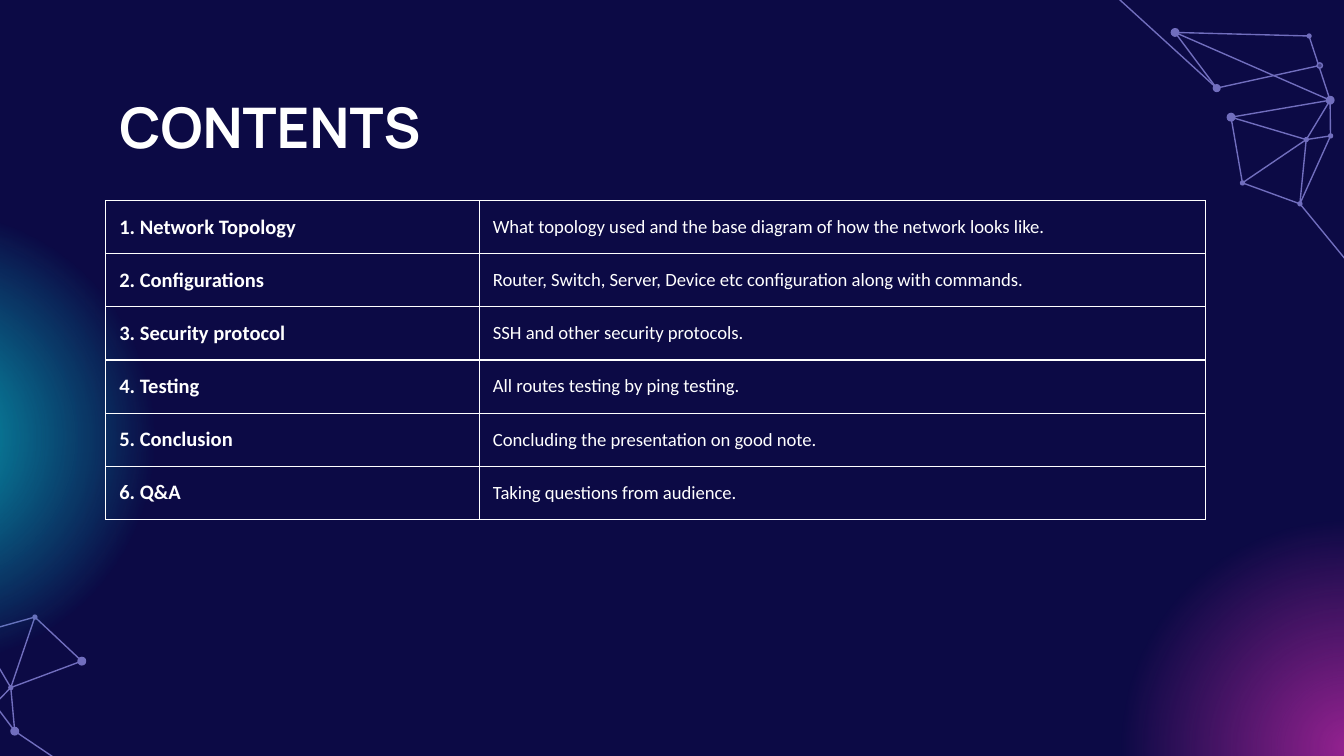
"""Build the contents slide: a bordered agenda table among glows and network lines."""
from dataclasses import dataclass

from lxml import etree
from pptx import Presentation
from pptx import util as u
from pptx.dml.color import RGBColor
from pptx.enum import shapes, text
from pptx.oxml import parse_xml
from pptx.oxml import ns

TITLE = "CONTENTS"
AGENDA = [
    ("Network Topology", "What topology used and the base diagram of how the network looks like."),
    ("Configurations", "Router, Switch, Server, Device etc configuration along with commands."),
    ("Security protocol", "SSH and other security protocols."),
    ("Testing", "All routes testing by ping testing."),
    ("Conclusion", "Concluding the presentation on good note."),
    ("Q&A", "Taking questions from audience."),
]


@dataclass(frozen=True)
class Theme:
    background: str = "0C0A45"
    network: str = "716EBE"
    core: str = "434186"
    white: str = "FFFFFF"
    teal: str = "07A0B3"
    purple: str = "942290"
    title_font: str = "Manrope"
    body_font: str = "Calibri"
    title_size: float = 30
    topic_size: float = 11
    detail_size: float = 10
    line_width: float = 0.75


THEME = Theme()
SLIDE_SIZE = (720, 405)
TITLE_BOX = (56.7, 42.5, 607, 45.4)
TABLE_LEFT, TABLE_TOP, ROW_HEIGHT = 56.7, 107.5, 28.46
COLUMN_WIDTHS = (200.2, 388.8)
MARGIN = 7.2
GLOW_SIZE = 344.2
GLOWS = [((-211, 61.9), THEME.teal), ((550.1, 228.2), THEME.purple)]

SMALL, MEDIUM, LARGE = 2.8, 3.6, 4.8
NODES = {
    "left": (629.5, 17.4), "bend": (651.8, 47.2), "edge": (707, 35.1),
    "peak": (701.3, 19.3), "right": (712.6, 53.7), "side": (712.8, 72.8),
    "hub": (699.8, 74.8), "foot": (696.4, 109.2), "corner": (665.6, 98),
    "west": (659.5, 62.8), "low end": (7.9, 391.7), "low out": (36.7, 411.1),
    "low side": (-2.9, 377.3), "low hub": (5.8, 368.4), "low west": (-11.5, 339.1),
    "low peak": (18.7, 330.6), "low east": (43.8, 354.2),
    "top exit": (597.6, -2.2), "right exit": (730.8, 151.2),
}
CHAINS = [
    ("left", "bend", "edge"),
    ("peak", "right", "side", "hub", "foot", "corner", "west", "hub", "corner"),
    ("low out", "low end", "low side", "low hub", "low west", "low peak",
     "low east", "low hub", "low peak"),
]
LINKS = [
    ("bend", "top exit"), ("right", "hub"), ("right", "left"), ("left", "peak"),
    ("side", "foot"), ("foot", "right exit"), ("right", "west"), ("low end", "low hub"),
]
DOTS = {
    SMALL: ("edge", "corner", "foot", "hub", "peak", "side", "low peak", "low hub"),
    MEDIUM: ("bend",),
    LARGE: ("west", "right", "left", "low east", "low end"),
}


def points(values):
    return [u.Pt(value) for value in values]


def color(value):
    return RGBColor.from_string(value)


def style_line(line):
    line.color.rgb = color(THEME.network)
    line.width = u.Pt(THEME.line_width)


def style_text(paragraph, font, size, bold):
    for run in paragraph.runs:
        run.font.name = font
        run.font.size = u.Pt(size)
        run.font.bold = bold
        run.font.color.rgb = color(THEME.white)


def add_chain(slide, names):
    corners = [points(NODES[name]) for name in names]
    builder = slide.shapes.build_freeform(*corners[0], scale=1.0)
    builder.add_line_segments(corners[1:], close=False)
    shape = builder.convert_to_shape()
    shape.shadow.inherit = False
    shape.fill.background()
    style_line(shape.line)


def add_link(slide, start, end):
    connector = slide.shapes.add_connector(
        shapes.MSO_CONNECTOR.STRAIGHT, *points(NODES[start]), *points(NODES[end]))
    style_line(connector.line)
    etree.SubElement(connector.element.spPr, ns.qn("a:effectLst"))


def add_circle(slide, left, top, size):
    shape = slide.shapes.add_shape(
        shapes.MSO_SHAPE.OVAL, *points((left, top, size, size)))
    shape.shadow.inherit = False
    shape.line.fill.background()
    return shape


def add_dot(slide, name, size):
    x, y = NODES[name]
    dot = add_circle(slide, x - size / 2, y - size / 2, size)
    dot.fill.solid()
    dot.fill.fore_color.rgb = color(THEME.core if name == "edge" else THEME.network)
    if name in ("edge", "bend"):
        style_line(dot.line)


def add_glow(slide, corner, tint):
    glow = add_circle(slide, *corner, GLOW_SIZE)
    clear = "".join(
        f'<a:gs pos="{position}"><a:srgbClr val="{tint}"><a:alpha val="0"/></a:srgbClr></a:gs>'
        for position in (50000, 100000))
    gradient = parse_xml(
        f'<a:gradFill {ns.nsdecls("a")} rotWithShape="1"><a:gsLst>'
        f'<a:gs pos="0"><a:srgbClr val="{tint}"/></a:gs>{clear}</a:gsLst>'
        '<a:path path="circle"><a:fillToRect l="50000" t="50000" r="50000" b="50000"/>'
        '</a:path></a:gradFill>')
    glow.element.spPr.find(ns.qn("a:prstGeom")).addnext(gradient)


def place_title(slide):
    title = slide.shapes.title
    title.left, title.top, title.width, title.height = points(TITLE_BOX)
    title.element.getparent().append(title.element)
    frame = title.text_frame
    frame.text = TITLE
    frame.word_wrap = True
    frame.auto_size = text.MSO_AUTO_SIZE.NONE
    frame.vertical_anchor = text.MSO_ANCHOR.TOP
    frame.margin_left = frame.margin_right = u.Pt(MARGIN)
    frame.margin_top = frame.margin_bottom = u.Pt(MARGIN)
    frame.paragraphs[0].alignment = text.PP_ALIGN.LEFT
    style_text(frame.paragraphs[0], THEME.title_font, THEME.title_size, True)


def fill_cell(cell, words, size, bold):
    cell.text_frame.text = words
    style_text(cell.text_frame.paragraphs[0], THEME.body_font, size, bold)
    cell.vertical_anchor = text.MSO_ANCHOR.MIDDLE
    cell.margin_left = cell.margin_right = u.Pt(MARGIN)
    cell.margin_top = cell.margin_bottom = 0
    cell.fill.background()
    properties = cell._tc.get_or_add_tcPr()
    for index, side in enumerate("LRTB"):
        properties.insert(index, parse_xml(
            f'<a:ln{side} {ns.nsdecls("a")} w="{u.Pt(THEME.line_width)}"><a:solidFill>'
            f'<a:srgbClr val="{THEME.white}"/></a:solidFill></a:ln{side}>'))


def add_agenda(slide):
    table = slide.shapes.add_table(len(AGENDA), 2, *points(
        (TABLE_LEFT, TABLE_TOP, sum(COLUMN_WIDTHS), ROW_HEIGHT * len(AGENDA)))).table
    table.first_row = table.horz_banding = False
    for column, width in zip(table.columns, COLUMN_WIDTHS):
        column.width = u.Pt(width)
    for index, (topic, detail) in enumerate(AGENDA):
        table.rows[index].height = u.Pt(ROW_HEIGHT)
        fill_cell(table.cell(index, 0), f"{index + 1}. {topic}", THEME.topic_size, True)
        fill_cell(table.cell(index, 1), detail, THEME.detail_size, False)


def main():
    presentation = Presentation()
    presentation.slide_width, presentation.slide_height = points(SLIDE_SIZE)
    slide = presentation.slides.add_slide(presentation.slide_layouts[5])
    slide.background.fill.solid()
    slide.background.fill.fore_color.rgb = color(THEME.background)
    for names in CHAINS:
        add_chain(slide, names)
    for start, end in LINKS:
        add_link(slide, start, end)
    for size, names in DOTS.items():
        for name in names:
            add_dot(slide, name, size)
    for corner, tint in GLOWS:
        add_glow(slide, corner, tint)
    place_title(slide)
    add_agenda(slide)
    presentation.save("out.pptx")


if __name__ == "__main__":
    main()
